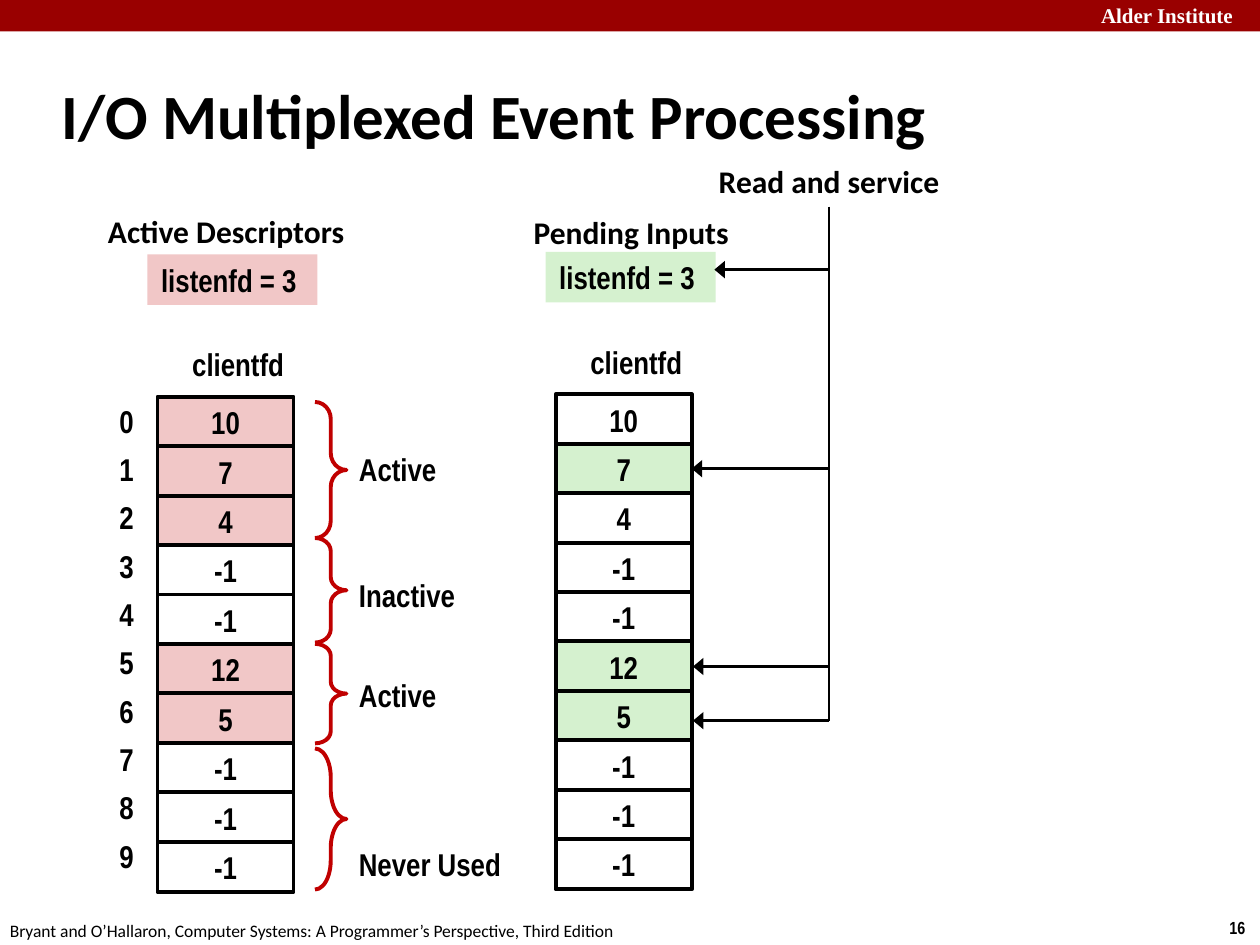
from dataclasses import dataclass

from lxml import etree
from pptx import Presentation
from pptx.dml.color import RGBColor
from pptx.enum.shapes import MSO_CONNECTOR, MSO_SHAPE
from pptx.enum.text import MSO_ANCHOR, MSO_AUTO_SIZE, PP_ALIGN
from pptx.oxml.ns import qn
from pptx.util import Inches, Pt

LEFT, CENTER, RIGHT = PP_ALIGN.LEFT, PP_ALIGN.CENTER, PP_ALIGN.RIGHT
TOP, MIDDLE = MSO_ANCHOR.TOP, MSO_ANCHOR.MIDDLE
RECTANGLE, RIGHT_BRACE = MSO_SHAPE.RECTANGLE, MSO_SHAPE.RIGHT_BRACE
STRAIGHT = MSO_CONNECTOR.STRAIGHT
FIXED_SIZE = MSO_AUTO_SIZE.NONE


@dataclass(frozen=True)
class Theme:
    black: str = "000000"
    white: str = "FFFFFF"
    banner: str = "990000"
    brace: str = "C00000"
    active: str = "F1C7C7"
    pending: str = "D5F1CF"
    heading_font: str = "Calibri"
    body_font: str = "Arial Narrow"
    banner_font: str = "Times New Roman"
    title_size: int = 36
    body_size: int = 18
    banner_size: int = 12
    footer_size: int = 10
    outline: float = 2.25
    arrow: float = 1.5


THEME = Theme()
ROW_HEIGHT = 0.4
CELL_WIDTH = 1.08
CELL_PITCH = 3.53 / 9
INDEX_PITCH = 3.45 / 9
CLIENT_DESCRIPTORS = [10, 7, 4, -1, -1, 12, 5, -1, -1, -1]


def color(value):
    return RGBColor.from_string(value)


def write(shape, text, font=THEME.body_font, size=THEME.body_size, bold=True,
          ink=THEME.black, align=LEFT, anchor=TOP, wrap=True):
    frame = shape.text_frame
    frame.word_wrap = wrap
    frame.auto_size = FIXED_SIZE
    frame.vertical_anchor = anchor
    paragraph = frame.paragraphs[0]
    paragraph.alignment = align
    run = paragraph.add_run()
    run.text = text
    run.font.name = font
    run.font.size = Pt(size)
    run.font.bold = bold
    run.font.color.rgb = color(ink)


def add_label(slide, box, text, **style):
    write(slide.shapes.add_textbox(*map(Inches, box)), text, **style)


def add_block(slide, box, fill=None, line=None, preset=RECTANGLE):
    shape = slide.shapes.add_shape(preset, *map(Inches, box))
    shape.shadow.inherit = False
    if fill:
        shape.fill.solid()
        shape.fill.fore_color.rgb = color(fill)
    else:
        shape.fill.background()
    if line:
        shape.line.color.rgb = color(line)
        shape.line.width = Pt(THEME.outline)
    else:
        shape.line.fill.background()
    return shape


def add_line(slide, start, end, arrow=False):
    connector = slide.shapes.add_connector(STRAIGHT, *map(Inches, (*start, *end)))
    connector.line.color.rgb = color(THEME.black)
    connector.line.width = Pt(THEME.arrow)
    if arrow:
        etree.SubElement(connector.get_or_add_ln(), qn("a:tailEnd"), type="triangle", w="lg")
    etree.SubElement(connector.element.spPr, qn("a:effectLst"))


def add_page_frame(slide, width, height):
    add_block(slide, (0, 0, width, 0.25), THEME.banner)
    add_label(slide, (width - 1.36, -0.03, 1.43, 0.3), "Alder Institute",
              font=THEME.banner_font, size=THEME.banner_size, ink=THEME.white, wrap=False)
    add_label(slide, (width - 0.34, height - 0.27, 0.34, 0.27), "16",
              size=THEME.footer_size, wrap=False)
    add_label(slide, (-0.02, height - 0.25, 5.08, 0.27),
              "Bryant and O’Hallaron, Computer Systems: A Programmer’s Perspective, Third Edition",
              font=THEME.heading_font, size=THEME.footer_size, bold=False, wrap=False)


def add_descriptor_column(slide, left, top, fill, highlighted):
    """Place the listenfd box at left, top, with the clientfd array below it."""
    listen_box = add_block(slide, (left, top, 1.35, ROW_HEIGHT), fill)
    write(listen_box, "listenfd = 3 ", align=CENTER, wrap=False)
    add_label(slide, (left + 0.25, top + 0.67, 0.94, ROW_HEIGHT), "clientfd",
              align=CENTER, wrap=False)
    for index, descriptor in enumerate(CLIENT_DESCRIPTORS):
        box = (left + 0.08, top + 1.13 + index * CELL_PITCH, CELL_WIDTH, ROW_HEIGHT)
        cell_fill = fill if index in highlighted else THEME.white
        cell = add_block(slide, box, cell_fill, THEME.black)
        write(cell, str(descriptor), align=CENTER, anchor=MIDDLE)


def add_indices(slide, left, top):
    for index in range(len(CLIENT_DESCRIPTORS)):
        add_label(slide, (left, top + index * INDEX_PITCH, CELL_WIDTH, ROW_HEIGHT),
                  str(index), align=RIGHT, anchor=MIDDLE)


def add_state_braces(slide, left, top):
    # Offset, height, curvature, label offset, label width, label
    states = [
        (0, 1.08, 0.54, 0.33, 0.82, "Active"),
        (1.08, 0.83, 0.42, 1.33, 0.98, "Inactive"),
        (1.92, 0.79, 0.38, 2.13, 0.82, "Active"),
        (2.75, 1.12, 0.92, 3.47, 1.34, "Never Used"),
    ]
    for offset, height, curvature, label_offset, label_width, label in states:
        brace = add_block(slide, (left, top + offset, 0.25, height),
                          line=THEME.brace, preset=RIGHT_BRACE)
        brace.adjustments[0] = curvature
        add_label(slide, (left + 0.25, top + label_offset, label_width, ROW_HEIGHT),
                  label, wrap=False)


def add_service_arrows(slide, trunk, top):
    """Drop a trunk line from the service label and branch to each pending input."""
    branches = [(2.14, 5.67), (3.72, 5.49), (5.29, 5.5), (5.72, 5.5)]
    add_line(slide, (trunk, top), (trunk, branches[-1][0]))
    for level, tip in branches:
        add_line(slide, (trunk, level), (tip, level), arrow=True)


def add_headings(slide):
    add_label(slide, (0.39, 0.49, 8.3, 0.83), "I/O Multiplexed Event Processing",
              font=THEME.heading_font, size=THEME.title_size, anchor=MIDDLE)
    captions = [
        (0.75, 1.63, 2.09, "Active Descriptors"),
        (3.92, 1.64, 2.18, "Pending Inputs"),
        (5.49, 1.24, 2.18, "Read and service"),
    ]
    for left, top, width, caption in captions:
        add_label(slide, (left, top, width, ROW_HEIGHT), caption,
                  font=THEME.heading_font, align=CENTER)


def main():
    presentation = Presentation()
    width, height = 10, 7.5
    presentation.slide_width, presentation.slide_height = Inches(width), Inches(height)
    slide = presentation.slides.add_slide(presentation.slide_layouts[6])
    add_page_frame(slide, width, height)
    add_descriptor_column(slide, 1.17, 2.02, THEME.active, {0, 1, 2, 5, 6})
    add_indices(slide, 0.08, 3.14)
    add_state_braces(slide, 2.5, 3.19)
    add_descriptor_column(slide, 4.33, 2, THEME.pending, {1, 5, 6})
    add_headings(slide)
    add_service_arrows(slide, 6.58, 1.64)
    presentation.save("out.pptx")


if __name__ == "__main__":
    main()
